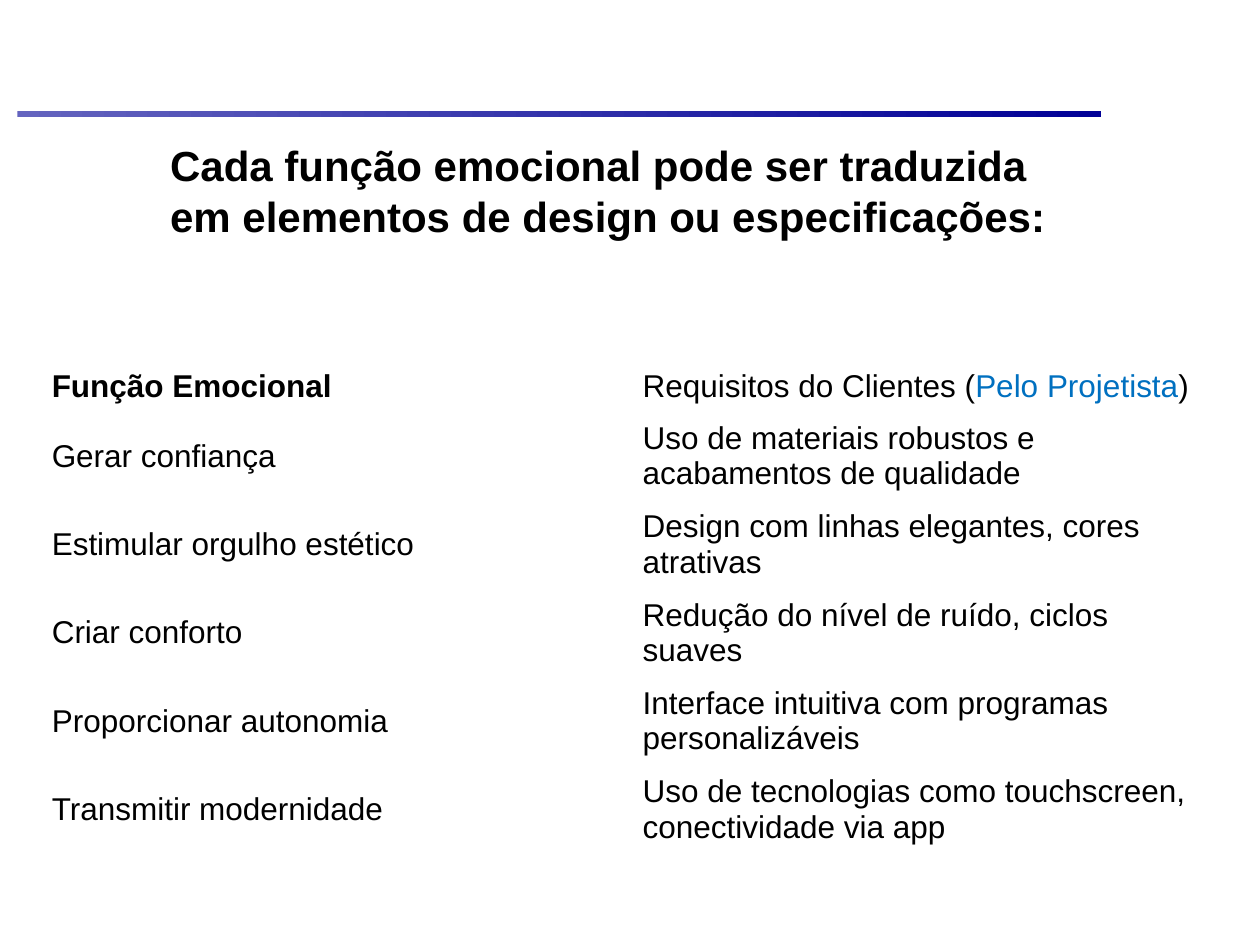
import pptx
import pptx.dml.color
import pptx.enum.shapes
import pptx.enum.text
import pptx.util
from pptx.util import Cm

COLORS = {
    "text": "000000",
    "accent": "0070C0",
    "bar_start": "6464BF",
    "bar_end": "000096",
}
BODY = {"name": "Arial", "size": pptx.util.Pt(18), "bold": False}
BOLD = {**BODY, "bold": True}
TITLE = {**BOLD, "size": pptx.util.Pt(24)}

TITLE_TEXT = "Cada função emocional pode ser traduzida em elementos de design ou especificações:"
HEADER = (
    [("Função Emocional", "text", BOLD)],
    [
        ("Requisitos do Clientes (", "text", BODY),
        ("Pelo Projetista", "accent", BODY),
        (")", "text", BODY),
    ],
)
REQUIREMENTS = [
    ("Gerar confiança", "Uso de materiais robustos e acabamentos de qualidade"),
    ("Estimular orgulho estético", "Design com linhas elegantes, cores atrativas"),
    ("Criar conforto", "Redução do nível de ruído, ciclos suaves"),
    ("Proporcionar autonomia", "Interface intuitiva com programas personalizáveis"),
    ("Transmitir modernidade", "Uso de tecnologias como touchscreen, conectividade via app"),
]


def color(name):
    return pptx.dml.color.RGBColor.from_string(COLORS[name])


def write_runs(paragraph, runs):
    for text, color_name, font_format in runs:
        run = paragraph.add_run()
        run.text = text
        run.font.color.rgb = color(color_name)
        for attribute, value in font_format.items():
            setattr(run.font, attribute, value)


def add_gradient_bar(slide, left, top, width, height):
    bar = slide.shapes.add_shape(
        pptx.enum.shapes.MSO_SHAPE.RECTANGLE, left, top, width, height
    )
    bar.shadow.inherit = False
    bar.line.fill.background()
    bar.fill.gradient()
    bar.fill.gradient_angle = 0
    for stop, position, name in zip(
        bar.fill.gradient_stops, (0, 1), ("bar_start", "bar_end")
    ):
        stop.position = position
        stop.color.rgb = color(name)


def add_title(slide, left, top, width, height):
    frame = slide.shapes.add_textbox(left, top, width, height).text_frame
    frame.word_wrap = True
    frame.vertical_anchor = pptx.enum.text.MSO_ANCHOR.TOP
    write_runs(frame.paragraphs[0], [(TITLE_TEXT, "text", TITLE)])


def add_requirements_table(slide, left, top, width, header_height, row_height):
    rows = [HEADER] + [
        [[(text, "text", BODY)] for text in row] for row in REQUIREMENTS
    ]
    height = header_height + row_height * len(REQUIREMENTS)
    table = slide.shapes.add_table(
        len(rows), len(HEADER), left, top, width, height
    ).table
    table.first_row = False
    table.horz_banding = False
    for row_index, row in enumerate(rows):
        table.rows[row_index].height = row_height if row_index else header_height
        for column_index, runs in enumerate(row):
            cell = table.cell(row_index, column_index)
            cell.fill.background()
            cell.vertical_anchor = pptx.enum.text.MSO_ANCHOR.MIDDLE
            write_runs(cell.text_frame.paragraphs[0], runs)


def main():
    presentation = pptx.Presentation()
    presentation.slide_width = Cm(25.4)
    presentation.slide_height = Cm(19.05)
    slide = presentation.slides.add_slide(presentation.slide_layouts[6])

    # Bar across the top
    add_gradient_bar(slide, Cm(0.35), Cm(2.24), Cm(21.84), Cm(0.13))
    # Emotional functions and the requirements they lead to
    add_requirements_table(slide, Cm(0.79), Cm(7.29), Cm(23.82), Cm(1.02), Cm(1.78))
    # Title
    add_title(slide, Cm(3.18), Cm(2.69), Cm(19.05), Cm(3.33))

    presentation.save("out.pptx")


if __name__ == "__main__":
    main()
